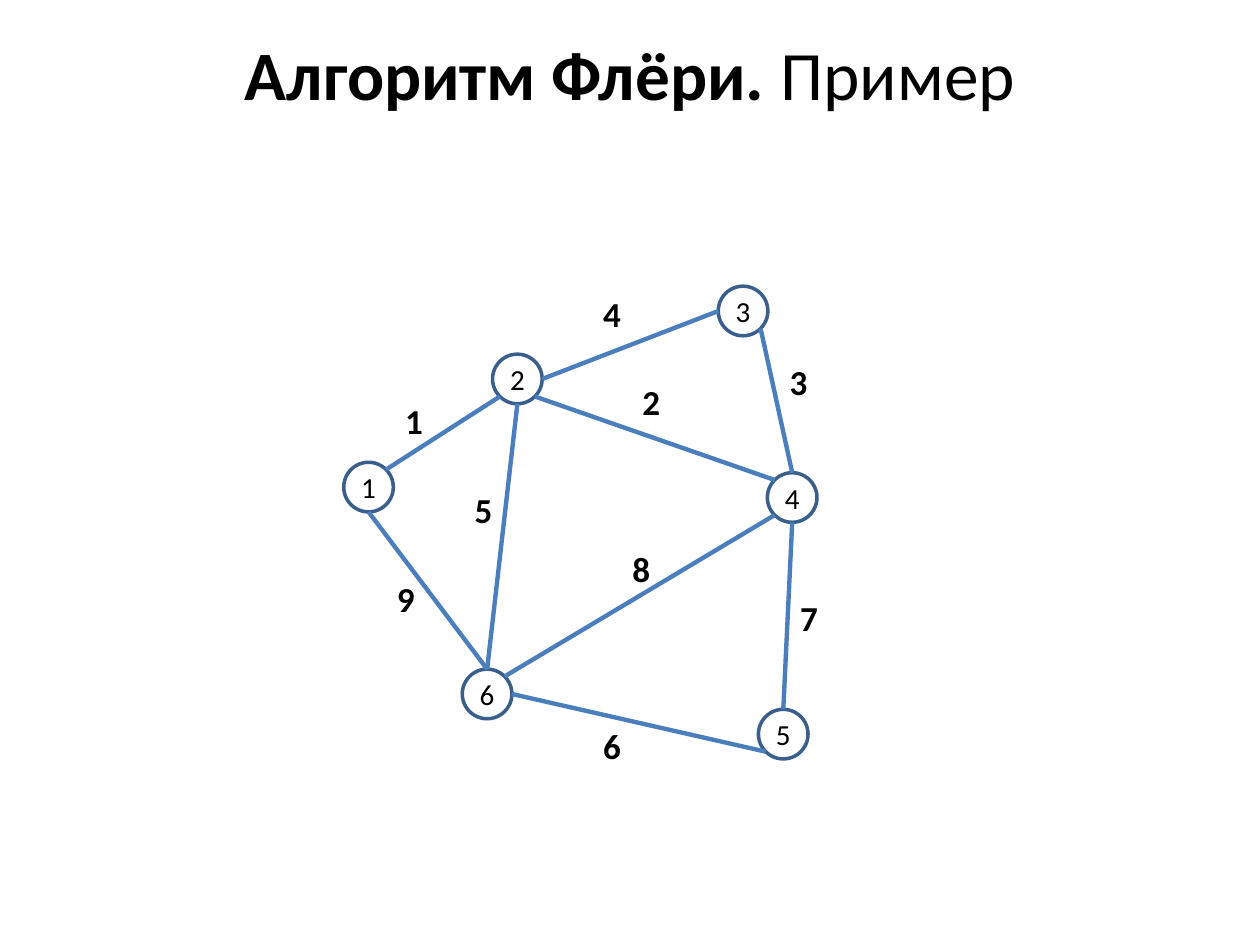
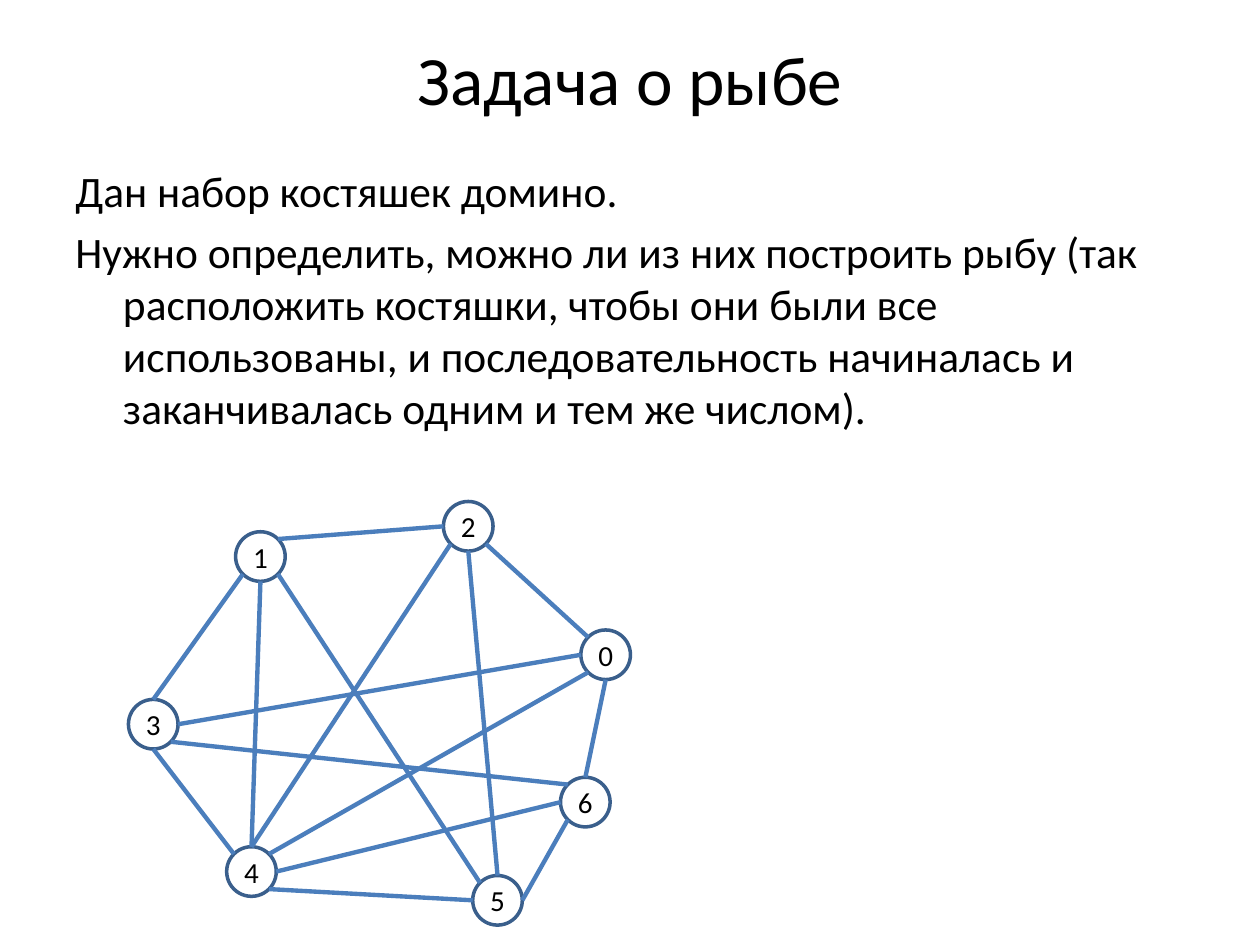
from dataclasses import dataclass
from math import cos, radians, sin

from lxml.etree import SubElement
from pptx import Presentation
from pptx.dml.color import RGBColor
from pptx.enum.shapes import MSO_CONNECTOR as Connector, MSO_SHAPE as Shape
from pptx.enum.text import MSO_ANCHOR as Anchor, MSO_AUTO_SIZE as AutoSize, PP_ALIGN as Align
from pptx.oxml.ns import qn
from pptx.util import Cm, Pt


@dataclass(frozen=True)
class Theme:
    font: str = "Calibri"
    text: RGBColor = RGBColor(0, 0, 0)
    node_line: RGBColor = RGBColor(0x3A, 0x5F, 0x8C)
    edge_line: RGBColor = RGBColor(0x4B, 0x7E, 0xBC)
    node_width: float = 2
    edge_width: float = 2.5
    title_size: float = 39.6
    body_size: float = 24.8
    label_size: float = 20
    node_size: float = 16.6


theme = Theme()
DIAMETER = 1.0
# Connection sites of an ellipse, counterclockwise from the top
SITES = ["N", "NW", "W", "SW", "S", "SE", "E", "NE"]

# Slide content: nodes are name: (left, top); edges are (node, site, node, site)
graphs = [
    {
        "title": [("Алгоритм Флёри. ", True), ("Пример", False)],
        "title_height": 1.42,
        "body": [],
        "nodes": {"1": (6.93, 9.32), "2": (9.93, 7.14), "4": (15.47, 9.53),
                  "3": (14.48, 5.77), "6": (9.32, 13.49), "5": (15.29, 14.3)},
        "edges": ["2 SW 1 NE", "2 SE 4 NW", "3 SE 4 N", "3 W 2 E", "6 N 2 S",
                  "5 SW 6 E", "4 S 5 N", "4 SW 6 NE", "1 S 6 N"],
        # Label positions in edge order
        "labels": [(7.92, 7.92), (12.7, 7.54), (15.67, 7.14), (11.91, 5.77), (9.32, 9.73),
                   (11.91, 14.48), (15.88, 11.91), (12.5, 10.92), (7.75, 11.51)],
    },
    {
        "title": [("Задача о рыбе", False)],
        "title_height": 1.63,
        "body": [
            "Дан набор костяшек домино.",
            "Нужно определить, можно ли из них построить рыбу (так расположить костяшки, "
            "чтобы они были все использованы, и последовательность начиналась и "
            "заканчивалась одним и тем же числом).",
        ],
        "nodes": {"1": (4.75, 10.72), "2": (8.94, 10.11), "4": (4.57, 17.07), "3": (2.59, 14.1),
                  "0": (11.71, 12.7), "6": (11.3, 15.67), "5": (9.53, 17.65)},
        "edges": ["1 SW 3 N", "2 SW 4 N", "0 W 3 E", "3 S 4 NW", "4 E 6 W",
                  "4 SE 5 W", "1 SE 5 NW", "6 SW 5 E", "2 W 1 NE", "2 SE 0 NW",
                  "0 SW 4 NE", "0 S 6 N", "3 SE 6 NW", "1 S 4 N", "2 S 5 N"],
        "labels": [],
    },
]


def style_text(para, size, bold=False):
    for span in para.runs:
        span.font.name = theme.font
        span.font.size = Pt(size)
        span.font.bold = bold
        span.font.color.rgb = theme.text


def site_point(position, site):
    angle = radians(45 * SITES.index(site))
    radius = DIAMETER / 2
    left, top = position
    return Cm(left + radius - radius * sin(angle)), Cm(top + radius - radius * cos(angle))


deck = Presentation()
deck.slide_width, deck.slide_height = Cm(25.4), Cm(19.05)

for graph in graphs:
    page = deck.slides.add_slide(deck.slide_layouts[6])

    # Title
    box = page.shapes.add_textbox(Cm(1.27), Cm(0.76), Cm(22.86), Cm(graph["title_height"]))
    box.text_frame.word_wrap = True
    box.text_frame.vertical_anchor = Anchor.MIDDLE
    para = box.text_frame.paragraphs[0]
    para.alignment = Align.CENTER
    for text, bold in graph["title"]:
        para.add_run().text = text
    style_text(para, theme.title_size)
    for span, (text, bold) in zip(para.runs, graph["title"]):
        span.font.bold = bold

    # Body text with hanging indent
    if graph["body"]:
        box = page.shapes.add_textbox(Cm(1.27), Cm(3.18), Cm(22.86), Cm(4.95))
        box.text_frame.word_wrap = True
        box.text_frame.text = "\n".join(graph["body"])
        for para in box.text_frame.paragraphs:
            para.space_before = Pt(5)
            indent = para._p.get_or_add_pPr()
            indent.set("marL", str(Cm(0.96)))
            indent.set("indent", str(-Cm(0.96)))
            style_text(para, theme.body_size)

    # Nodes
    nodes = {}
    for name, (left, top) in graph["nodes"].items():
        node = page.shapes.add_shape(Shape.OVAL, Cm(left), Cm(top), Cm(DIAMETER), Cm(DIAMETER))
        node.shadow.inherit = False
        node.fill.background()
        node.line.color.rgb = theme.node_line
        node.line.width = Pt(theme.node_width)
        frame = node.text_frame
        frame.margin_left = frame.margin_right = frame.margin_top = frame.margin_bottom = 0
        frame.vertical_anchor = Anchor.MIDDLE
        frame.text = name
        frame.paragraphs[0].alignment = Align.CENTER
        style_text(frame.paragraphs[0], theme.node_size)
        nodes[name] = node

    # Edges, glued to the nodes at both ends
    for edge in graph["edges"]:
        start, start_site, end, end_site = edge.split()
        line = page.shapes.add_connector(
            Connector.STRAIGHT,
            *site_point(graph["nodes"][start], start_site),
            *site_point(graph["nodes"][end], end_site),
        )
        line.line.color.rgb = theme.edge_line
        line.line.width = Pt(theme.edge_width)
        SubElement(line._element.spPr, qn("a:effectLst"))
        glue = line._element.find(".//" + qn("p:cNvCxnSpPr"))
        for tag, name, site in (("a:stCxn", start, start_site), ("a:endCxn", end, end_site)):
            SubElement(glue, qn(tag), id=str(nodes[name].shape_id), idx=str(SITES.index(site)))

    # Edge numbers
    for number, (left, top) in enumerate(graph["labels"], start=1):
        box = page.shapes.add_textbox(Cm(left), Cm(top), Cm(0.86), Cm(1.12))
        box.text_frame.word_wrap = False
        box.text_frame.auto_size = AutoSize.SHAPE_TO_FIT_TEXT
        box.text_frame.text = str(number)
        style_text(box.text_frame.paragraphs[0], theme.label_size, bold=True)

deck.save("out.pptx")
